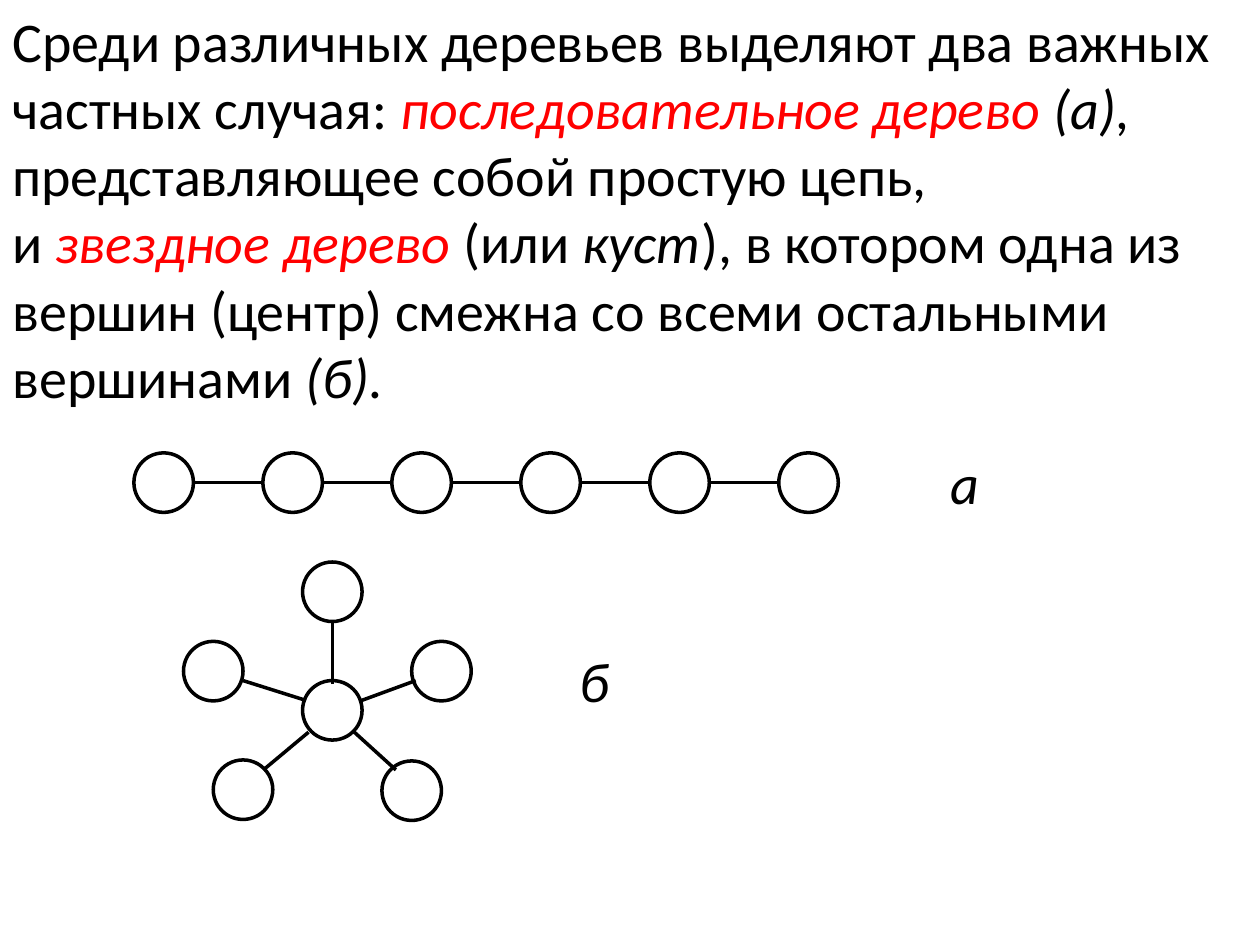
"""Slide on two special kinds of tree: the chain and the star."""
from typing import NamedTuple

from lxml.etree import SubElement
from pptx import Presentation
from pptx.dml.color import RGBColor
from pptx.enum.shapes import MSO_CONNECTOR, MSO_SHAPE
from pptx.oxml.ns import qn
from pptx.util import Cm, Pt

BLACK, RED = "000000", "FF0000"
NBSP = chr(160)
DIAMETER = 1.2
CHAIN_COUNT, CHAIN_STEP = 6, 2.6


class Point(NamedTuple):
    x: float
    y: float


class Branch(NamedTuple):
    leaf: Point
    inner: Point
    outer: Point


class Phrase(NamedTuple):
    text: str
    color: str = BLACK
    italic: bool = False


CHAIN_START = Point(3.3, 9.73)
STAR_CENTER = Point(6.7, 14.32)
BRANCHES = [
    Branch(Point(6.7, 11.93), Point(6.7, 13.79), Point(6.7, 12.52)),
    Branch(Point(8.9, 13.53), Point(7.29, 14.12), Point(8.38, 13.72)),
    Branch(Point(8.3, 15.94), Point(7.11, 14.73), Point(7.98, 15.52)),
    Branch(Point(4.9, 15.92), Point(6.22, 14.76), Point(5.31, 15.52)),
    Branch(Point(4.3, 13.53), Point(6.17, 14.12), Point(4.9, 13.72)),
]
DEFINITION = [
    Phrase(f"Среди различных деревьев выделяют два важных частных случая:{NBSP}"),
    Phrase(f"последовательное{NBSP}дерево ", RED, True),
    Phrase("(а),", italic=True),
    Phrase(f" представляющее собой простую цепь, и{NBSP}"),
    Phrase(f"звездное{NBSP}дерево", RED, True),
    Phrase(f"{NBSP}(или{NBSP}"),
    Phrase("куст", italic=True),
    Phrase("), в котором одна из вершин (центр) смежна со всеми остальными вершинами "),
    Phrase("(б).", italic=True),
]


def rgb(color: str) -> RGBColor:
    return RGBColor.from_string(color)


def add_text(slide, phrases: list[Phrase], *, left: float, top: float, width: float,
             height: float, size: float = 32, font: str = "Calibri", wrap: bool = False,
             space_before: float = 0) -> None:
    frame = slide.shapes.add_textbox(Cm(left), Cm(top), Cm(width), Cm(height)).text_frame
    frame.word_wrap = wrap
    paragraph = frame.paragraphs[0]
    paragraph.space_before = Pt(space_before)
    for phrase in phrases:
        run = paragraph.add_run()
        run.text = phrase.text
        run.font.name = font
        run.font.size = Pt(size)
        run.font.italic = phrase.italic
        run.font.color.rgb = rgb(phrase.color)


def add_vertex(slide, center: Point) -> None:
    vertex = slide.shapes.add_shape(
        MSO_SHAPE.OVAL, Cm(center.x - DIAMETER / 2), Cm(center.y - DIAMETER / 2),
        Cm(DIAMETER), Cm(DIAMETER))
    vertex.shadow.inherit = False
    vertex.fill.background()
    vertex.line.color.rgb = rgb(BLACK)
    vertex.line.width = Pt(2)


def add_edge(slide, start: Point, end: Point) -> None:
    edge = slide.shapes.add_connector(
        MSO_CONNECTOR.STRAIGHT, Cm(start.x), Cm(start.y), Cm(end.x), Cm(end.y))
    edge.line.color.rgb = rgb(BLACK)
    edge.line.width = Pt(2)
    SubElement(edge._element.spPr, qn("a:effectLst"))


def add_chain(slide) -> None:
    radius = DIAMETER / 2
    for index in range(CHAIN_COUNT):
        center = Point(CHAIN_START.x + index * CHAIN_STEP, CHAIN_START.y)
        add_vertex(slide, center)
        if index:
            add_edge(slide, Point(center.x - CHAIN_STEP + radius, center.y),
                     Point(center.x - radius, center.y))


def add_star(slide) -> None:
    add_vertex(slide, STAR_CENTER)
    for branch in BRANCHES:
        add_edge(slide, branch.inner, branch.outer)
        add_vertex(slide, branch.leaf)


def main() -> None:
    presentation = Presentation()
    presentation.slide_width, presentation.slide_height = Cm(25.4), Cm(19.05)
    slide = presentation.slides.add_slide(presentation.slide_layouts[6])
    add_text(slide, DEFINITION, left=0, top=0, width=25.4, height=8.53,
             wrap=True, space_before=6.4)
    add_chain(slide)
    add_text(slide, [Phrase("а", italic=True)], left=18.91, top=8.92, width=1.09, height=1.63)
    add_star(slide)
    add_text(slide, [Phrase("б", italic=True)], left=11.43, top=12.9, width=1.12, height=1.63)
    presentation.save("out.pptx")


if __name__ == "__main__":
    main()
